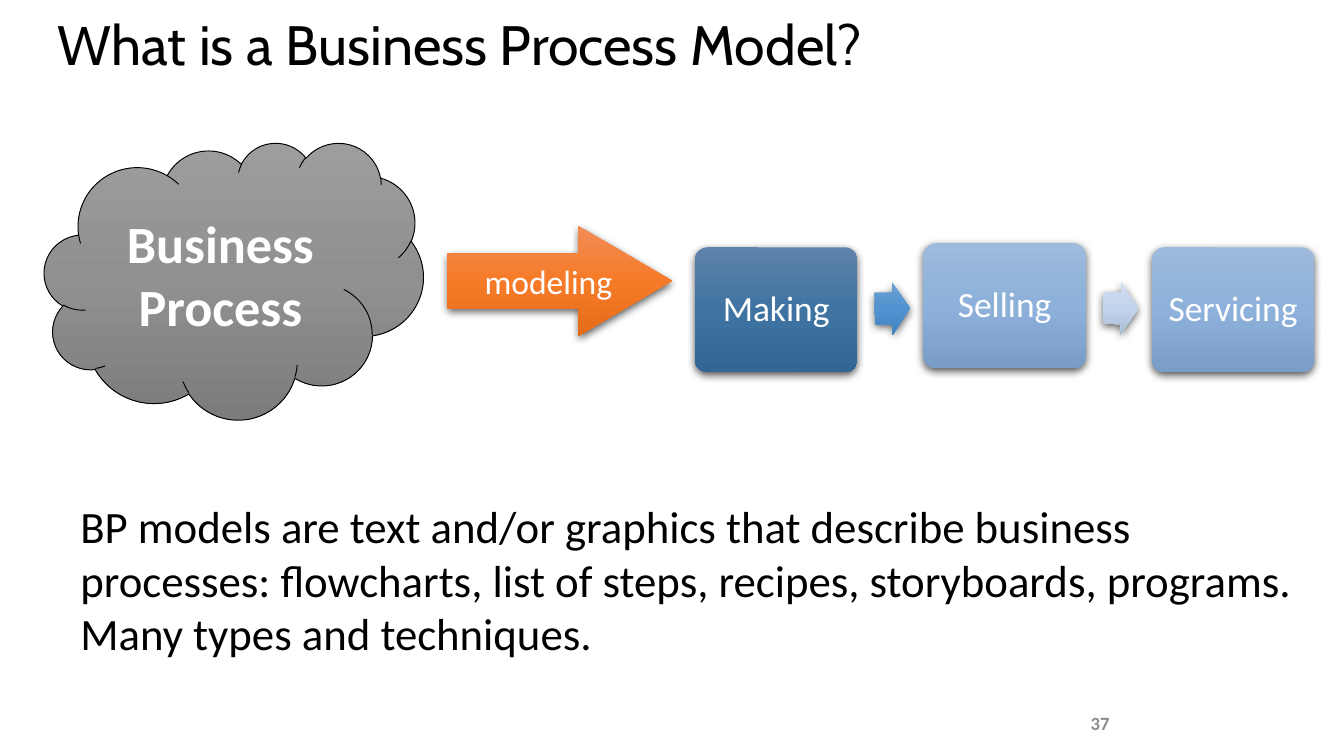
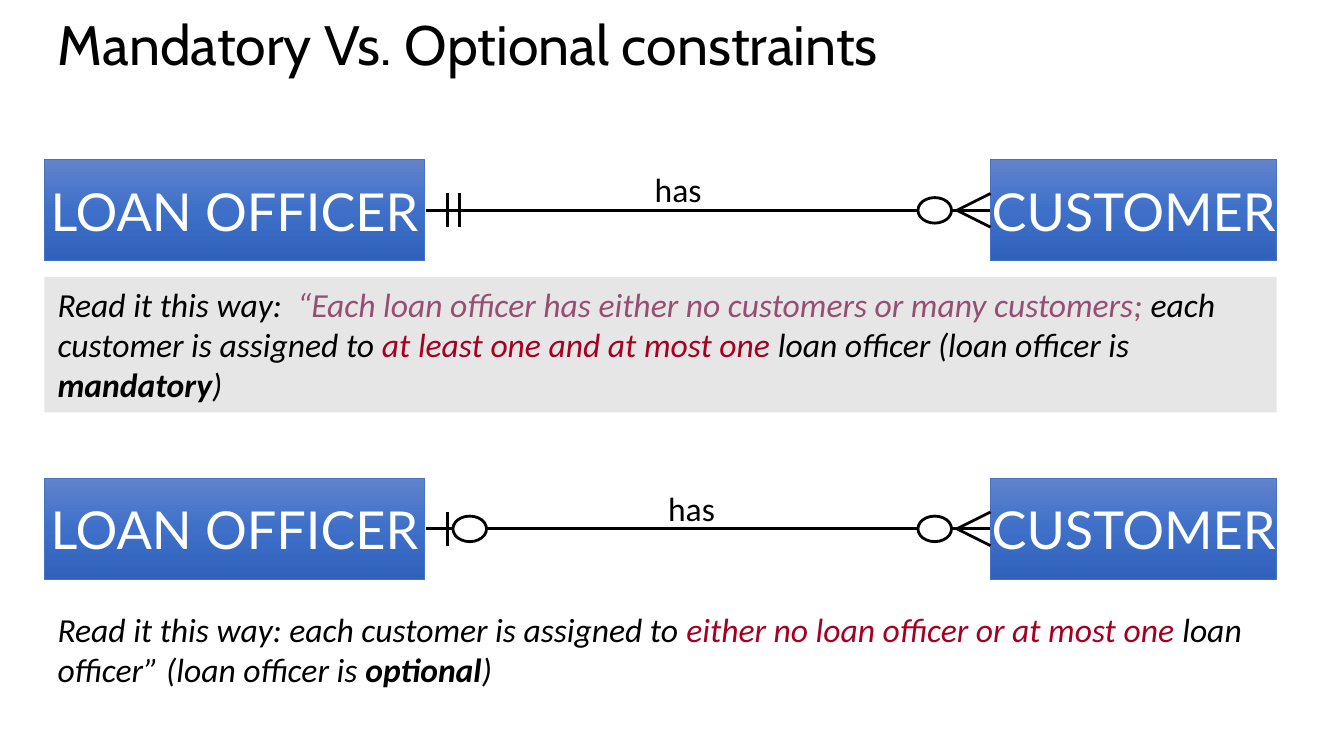
import pptx
import copy
import pptx.util
import pptx.dml.color
import pptx.enum.shapes
import pptx.enum.text
import pptx.oxml
import pptx.oxml.ns

Inches, Pt = pptx.util.Inches, pptx.util.Pt
RGB = pptx.dml.color.RGBColor.from_string
SHAPE = pptx.enum.shapes.MSO_SHAPE
ALIGN = pptx.enum.text.PP_ALIGN
ANCHOR = pptx.enum.text.MSO_ANCHOR
qn = pptx.oxml.ns.qn

BLACK, WHITE = RGB("000000"), RGB("FFFFFF")
PAGE_GREY, PANEL_GREY = RGB("8C8C8C"), RGB("E7E6E6")
PLUM, CRIMSON = RGB("954F72"), RGB("A50021")
ENTITY_EDGE = RGB("4472C4")


def ramp(*colours):
    return [RGB(c) for c in colours]


CLOUD_FILL = ramp("9D9D9D", "909090", "7C7C7C")
ORANGE_FILL = ramp("F18C57", "F67B28", "E56C19")
DARK_BOX = ramp("5F83AA", "3F73A2", "346694")
LIGHT_BOX = ramp("9EBADC", "8DB1DA", "799DC6")
DARK_STEP = ramp("6EA0D2", "5194D1", "4184C1")
LIGHT_STEP = ramp("CEDCEF", "C3D5ED", "AABDD6")
ENTITY_FILL = ramp("6183CB", "3E70CA", "3062BB")

# Content
MODEL_TITLE = "What is a Business Process Model?"
MODEL_TEXT = ("BP models are text and/or graphics that describe business processes: "
              "flowcharts, list of steps, recipes, storyboards, programs.  "
              "Many types and techniques.")
STAGES = [  # label, top, fill
    ("Making", 1.84, DARK_BOX),
    ("Selling", 1.81, LIGHT_BOX),
    ("Servicing", 1.84, LIGHT_BOX),
]
STEPS = [(DARK_STEP, 359.2), (LIGHT_STEP, 0.8)]  # fill, rotation

CONSTRAINT_TITLE = "Mandatory Vs. Optional constraints"
RED, BOLD = {"color": CRIMSON}, {"bold": True}
RELATIONS = [
    {"top": 1.19, "label_left": 4.85, "optional": False,
     "reading_at": (0.33, 2.06, 9.17, 1.01), "panel": PANEL_GREY,
     "reading": [
         ("Read it this way:", {}),
         ("  “Each loan officer has either no customers or many customers;",
          {"color": PLUM}),
         (" each customer is assigned to ", {}),
         ("at least one and at most one", RED),
         (" loan officer (loan officer is ", {}),
         ("mandatory", BOLD), (")", {})]},
    {"top": 3.56, "label_left": 4.95, "optional": True,
     "reading_at": (0.33, 4.48, 9.1, 0.71), "panel": None,
     "reading": [
         ("Read it this way: each customer is assigned to ", {}),
         ("either no loan officer or at most one ", RED),
         ("loan officer” (loan officer is ", {}),
         ("optional", BOLD), (")", {})]},
]

# Layout, in inches
MARGIN = 0.33
STAGE_LEFT, STAGE_PITCH, STAGE_W, STAGE_H = 5.17, 1.7, 1.21, 0.93
STEP_GAP, STEP_TOP, STEP_W, STEP_H = 0.13, 2.1, 0.26, 0.39
OFFICER_W, CUSTOMER_LEFT, CUSTOMER_W, ENTITY_H = 2.83, 7.37, 2.13, 0.75
LINE_LEFT, FOOT = 3.17, 0.25
TICK = FOOT / 2
RING_W, RING_H = 0.25, 0.19


def write(sp, text, size=18, font="Calibri", color=BLACK, bold=False, italic=False,
          align=ALIGN.LEFT, anchor=ANCHOR.TOP, wrap=True, before=0, spacing=None,
          insets=(0.1, 0.05, 0.1, 0.05)):
    """Fill sp with one paragraph; text is a string or (text, overrides) runs."""
    tf = sp.text_frame
    tf.auto_size = pptx.enum.text.MSO_AUTO_SIZE.NONE
    tf.word_wrap, tf.vertical_anchor = wrap, anchor
    tf.margin_left, tf.margin_top, tf.margin_right, tf.margin_bottom = map(Inches, insets)
    p = tf.paragraphs[0]
    p.alignment, p.space_before = align, Pt(before)
    if spacing:
        p.line_spacing = spacing
    for words, own in [(text, {})] if isinstance(text, str) else text:
        r = p.add_run()
        r.text = words
        r.font.size, r.font.name = Pt(size), font
        r.font.bold, r.font.italic = own.get("bold", bold), italic
        r.font.color.rgb = own.get("color", color)


def paint(sp, colours):
    """Shade sp from top to bottom with three evenly spaced colours."""
    sp.fill.gradient()
    sp.fill.gradient_angle = 270
    stops = sp.element.spPr.find(qn("a:gradFill")).find(qn("a:gsLst"))
    stops.insert(1, copy.deepcopy(stops[0]))
    for i, (stop, colour) in enumerate(zip(sp.fill.gradient_stops, colours)):
        stop.position = i / 2
        stop.color.rgb = colour


def add_shape(slide, kind, at, fill=None, line=None, weight=0.5, shadow=False, adj=()):
    sp = slide.shapes.add_shape(kind, *map(Inches, at))
    sp.shadow.inherit = False
    for i, value in enumerate(adj):
        sp.adjustments[i] = value
    if isinstance(fill, list):
        paint(sp, fill)
    elif fill is None:
        sp.fill.background()
    else:
        sp.fill.solid()
        sp.fill.fore_color.rgb = fill
    if line is None:
        sp.line.fill.background()
    else:
        sp.line.color.rgb, sp.line.width = line, Pt(weight)
    if shadow:
        sp.element.spPr.find(qn("a:effectLst")).append(pptx.oxml.parse_xml(
            f'<a:outerShdw {pptx.oxml.ns.nsdecls("a")} blurRad="{Pt(4.5)}" '
            f'dist="{Pt(1.5)}" dir="5400000" algn="ctr" rotWithShape="0">'
            '<a:srgbClr val="000000"><a:alpha val="63000"/></a:srgbClr></a:outerShdw>'))
    return sp


def add_text(slide, at, text, **fmt):
    write(slide.shapes.add_textbox(*map(Inches, at)), text, **fmt)


def add_line(slide, *ends):
    cx = slide.shapes.add_connector(pptx.enum.shapes.MSO_CONNECTOR.STRAIGHT,
                                    *map(Inches, ends))
    cx.line.color.rgb, cx.line.width = BLACK, Pt(1.5)
    spPr = cx._element.spPr
    spPr.append(spPr.makeelement(qn("a:effectLst"), {}))


def add_slide(prs, title):
    slide = prs.slides.add_slide(prs.slide_layouts[5])
    sp = slide.shapes.title
    sp.left, sp.top, sp.width, sp.height = map(Inches, (MARGIN, 0.09, 9.58, 0.53))
    write(sp, title, size=29.7, font="Cabin", anchor=ANCHOR.MIDDLE, spacing=0.9)
    return slide


def add_ring(slide, left, mid):
    add_shape(slide, SHAPE.OVAL, (left, mid - RING_H / 2, RING_W, RING_H),
              fill=WHITE, line=BLACK, weight=1.5)


def add_entity(slide, name, left, top, width):
    sp = add_shape(slide, SHAPE.RECTANGLE, (left, top, width, ENTITY_H),
                   fill=ENTITY_FILL, line=ENTITY_EDGE)
    write(sp, name, size=28, font="Lato", color=WHITE, align=ALIGN.CENTER,
          anchor=ANCHOR.MIDDLE, wrap=False)


def add_relation(slide, rel):
    """Draw two entities, the crow's-foot line between them and its reading."""
    top = rel["top"]
    mid = top + ENTITY_H / 2
    foot = CUSTOMER_LEFT - FOOT
    sp = add_shape(slide, SHAPE.RECTANGLE, rel["reading_at"], fill=rel["panel"])
    write(sp, rel["reading"], italic=True)
    add_entity(slide, "LOAN OFFICER", MARGIN, top, OFFICER_W)
    add_entity(slide, "CUSTOMER", CUSTOMER_LEFT, top, CUSTOMER_W)
    for x in (3.33,) if rel["optional"] else (3.33, 3.42):
        add_line(slide, x, mid - TICK, x, mid + TICK)
    add_line(slide, LINE_LEFT, mid, foot, mid)
    for dy in (-TICK, TICK, 0):
        add_line(slide, foot, mid, CUSTOMER_LEFT, mid + dy)
    add_ring(slide, 6.83, mid)
    if rel["optional"]:
        add_ring(slide, 3.37, mid)
    add_text(slide, (rel["label_left"], top + 0.07, 0.39, 0.3), "has",
             align=ALIGN.CENTER, anchor=ANCHOR.MIDDLE, wrap=False, insets=(0,) * 4)


def build_model_slide(prs):
    slide = add_slide(prs, MODEL_TITLE)
    centred = {"color": WHITE, "align": ALIGN.CENTER, "anchor": ANCHOR.MIDDLE}
    add_text(slide, (7.06, 5.21, 2.25, 0.3), "37", size=10, bold=True, color=PAGE_GREY,
             align=ALIGN.CENTER, anchor=ANCHOR.BOTTOM, insets=(0.05,) * 4)
    cloud = add_shape(slide, SHAPE.CLOUD, (MARGIN, 1.06, 2.82, 2.06),
                      fill=CLOUD_FILL, line=BLACK)
    write(cloud, "Business Process", size=28, bold=True, before=14, **centred)
    arrow = add_shape(slide, SHAPE.RIGHT_ARROW, (3.33, 1.68, 1.67, 0.82),
                      fill=ORANGE_FILL, shadow=True, adj=(0.5, 0.85))
    write(arrow, "modeling", wrap=False, insets=(0.28, 0.1, 0.1, 0.1), **centred)
    add_text(slide, (0.5, 3.66, 9.33, 1.31), MODEL_TEXT, size=24, before=5)

    for i, (label, top, fill) in enumerate(STAGES):
        left = STAGE_LEFT + i * STAGE_PITCH
        box = add_shape(slide, SHAPE.ROUNDED_RECTANGLE, (left, top, STAGE_W, STAGE_H),
                        fill=fill, shadow=True, adj=(0.1,))
        write(box, label, size=19, spacing=0.9, insets=(0.08,) * 4, **centred)
        if i < len(STEPS):
            step_fill, turn = STEPS[i]
            at = (left + STAGE_W + STEP_GAP, STEP_TOP, STEP_W, STEP_H)
            step = add_shape(slide, SHAPE.RIGHT_ARROW, at, fill=step_fill,
                             shadow=True, adj=(0.6, 0.5))
            step.rotation = turn


def main():
    prs = pptx.Presentation()
    prs.slide_width = Inches(10)
    prs.slide_height = prs.slide_width * 9 // 16
    build_model_slide(prs)
    slide = add_slide(prs, CONSTRAINT_TITLE)
    for rel in RELATIONS:
        add_relation(slide, rel)
    prs.save("out.pptx")


if __name__ == "__main__":
    main()
